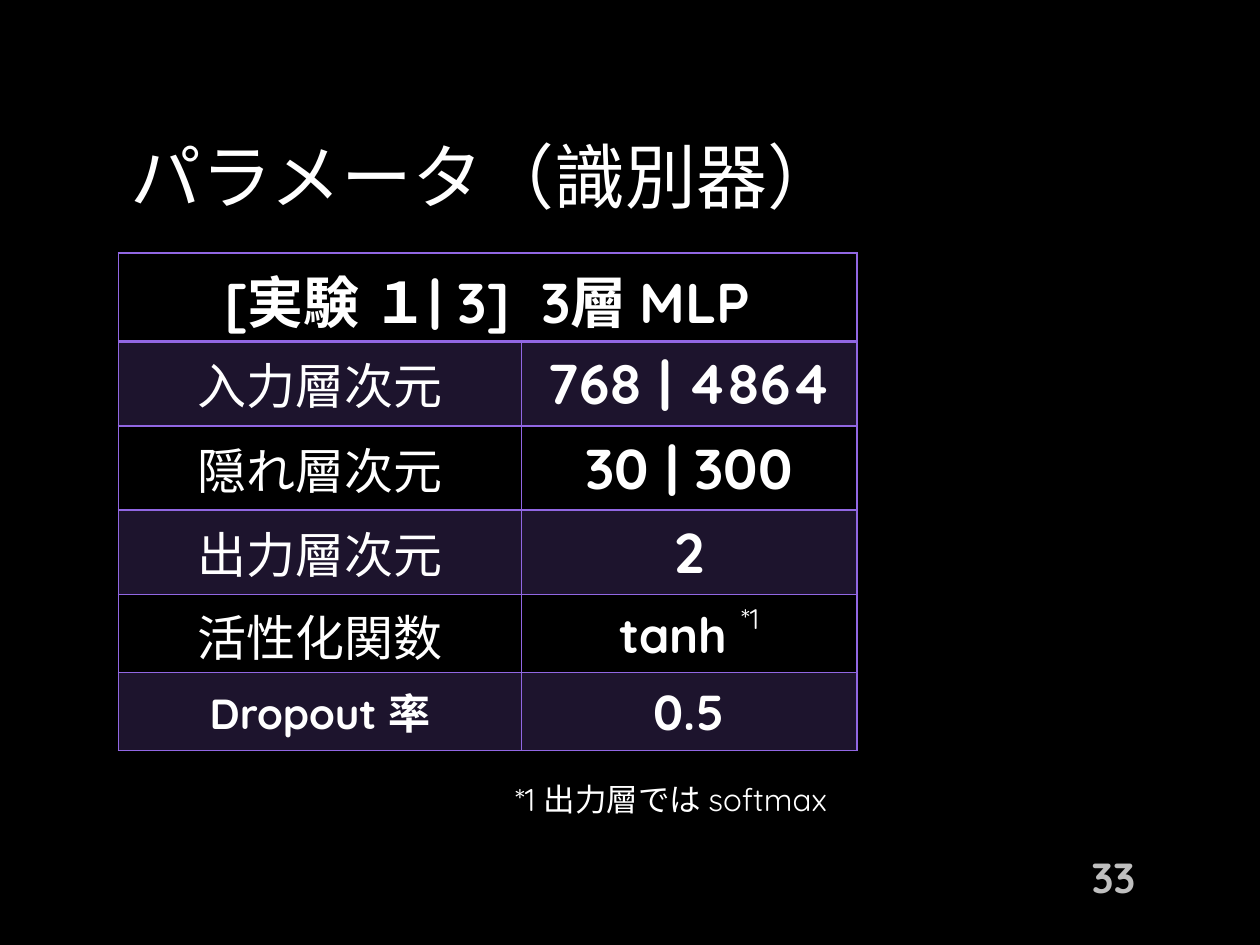
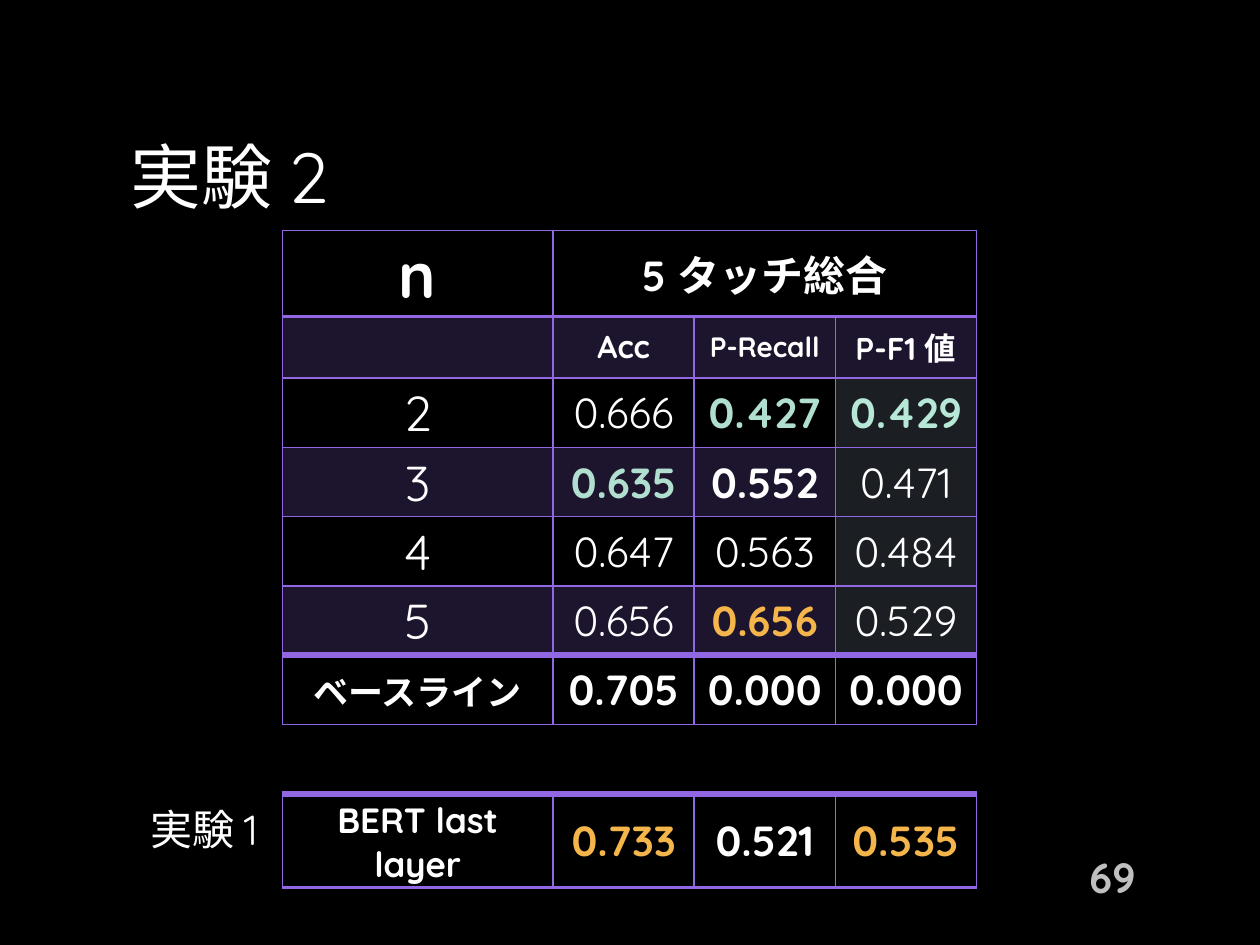
"""Build two dark slides with classifier parameters and experiment scores."""
from dataclasses import dataclass
from typing import Optional, Sequence

from lxml import etree
from pptx import Presentation
from pptx.dml.color import RGBColor
from pptx.enum import text as enums
from pptx.oxml import ns
from pptx.util import Inches, Pt

FONT = "Quicksand"
BLACK = RGBColor(0x00, 0x00, 0x00)
WHITE = RGBColor(0xFF, 0xFF, 0xFF)
GRAY = RGBColor(0xBF, 0xBF, 0xBF)
PURPLE = RGBColor(0x91, 0x67, 0xE3)
GREEN = RGBColor(0xB1, 0xDF, 0xCF)
LIGHT_GREEN = RGBColor(0xB7, 0xE7, 0xD6)
ORANGE = RGBColor(0xF4, 0xB5, 0x4B)
SLATE = RGBColor(0x1B, 0x1E, 0x23)
CENTER = enums.PP_ALIGN.CENTER
LEFT = enums.PP_ALIGN.LEFT
RIGHT = enums.PP_ALIGN.RIGHT
MIDDLE = enums.MSO_ANCHOR.MIDDLE
TOP = enums.MSO_ANCHOR.TOP
WIDE = (0.07, 0.04, 0.07, 0.04)
TIGHT = (0.01, 0.01, 0.01, 0)
SCORE_COLUMNS = (2.15, 1.12, 1.12, 1.12)


@dataclass
class Entry:
    """Text and look of one table cell."""
    text: str = ""
    size: float = 24
    bold: bool = True
    color: RGBColor = WHITE
    fill: Optional[RGBColor] = None
    insets: tuple = WIDE
    mark: str = ""
    span: int = 1


@dataclass
class Grid:
    """Place, sizes and contents of a table; rules are horizontal line widths."""
    left: float
    top: float
    columns: Sequence[float]
    heights: Sequence[float]
    rules: Sequence[float]
    rows: Sequence[Sequence[Entry]]
    banded: bool = True


def add_span(para, words: str, size: float, color: RGBColor, bold: bool = False):
    """Append a formatted run."""
    span = para.add_run()
    span.text = words
    span.font.name = FONT
    span.font.size = Pt(size)
    span.font.bold = bold
    span.font.color.rgb = color
    return span


def set_insets(target, insets: tuple) -> None:
    """Set the inner margins of a cell or text frame."""
    sides = ("margin_left", "margin_top", "margin_right", "margin_bottom")
    for side, value in zip(sides, insets):
        setattr(target, side, Inches(value))


def add_text(page, words: str, at: tuple, *, size: float, color: RGBColor = WHITE,
             bold: bool = False, align=LEFT, anchor=MIDDLE,
             insets: tuple = (0.1, 0.05, 0.1, 0.05)) -> None:
    """Add a single-paragraph text box."""
    frame = page.shapes.add_textbox(*map(Inches, at)).text_frame
    frame.word_wrap = True
    frame.vertical_anchor = anchor
    set_insets(frame, insets)
    para = frame.paragraphs[0]
    para.alignment = align
    add_span(para, words, size, color, bold)


def set_borders(cell, above: float, below: float) -> None:
    """Draw the four borders of a cell."""
    properties = cell._tc.get_or_add_tcPr()
    widths = {"lnL": 1, "lnR": 1, "lnT": above, "lnB": below}
    for index, (side, width) in enumerate(widths.items()):
        line = etree.Element(ns.qn(f"a:{side}"), w=str(Pt(width)))
        fill = etree.SubElement(line, ns.qn("a:solidFill"))
        etree.SubElement(fill, ns.qn("a:srgbClr"), val=str(PURPLE))
        properties.insert(index, line)


def paint(cell, color: Optional[RGBColor], banded: bool) -> None:
    """Fill a cell with a colour, a translucent band or nothing."""
    if color is None and not banded:
        cell.fill.background()
        return
    cell.fill.solid()
    cell.fill.fore_color.rgb = color or PURPLE
    if color is None:
        tone = cell._tc.tcPr.find(".//" + ns.qn("a:srgbClr"))
        etree.SubElement(tone, ns.qn("a:alpha"), val="20000")


def write_entry(cell, entry: Entry) -> None:
    """Write the text of a cell."""
    cell.vertical_anchor = MIDDLE
    set_insets(cell, entry.insets)
    para = cell.text_frame.paragraphs[0]
    para.alignment = CENTER
    if entry.text:
        add_span(para, entry.text, entry.size, entry.color, entry.bold)
    if entry.mark:
        mark = add_span(para, entry.mark, entry.size, entry.color)
        mark.font._element.set("baseline", "50000")


def add_grid(page, grid: Grid) -> None:
    """Add a table with purple rules and optional bands."""
    frame = page.shapes.add_table(
        len(grid.heights), len(grid.columns), Inches(grid.left), Inches(grid.top),
        Inches(sum(grid.columns)), Inches(sum(grid.heights)))
    table = frame.table
    table.first_row = table.horz_banding = False
    for column, width in zip(table.columns, grid.columns):
        column.width = Inches(width)
    for number, (row, height) in enumerate(zip(table.rows, grid.heights)):
        row.height = Inches(height)
        place = 0
        for entry in grid.rows[number]:
            cell = table.cell(number, place)
            write_entry(cell, entry)
            for column in range(place, place + entry.span):
                part = table.cell(number, column)
                paint(part, entry.fill, grid.banded and number % 2 == 1)
                set_borders(part, grid.rules[number], grid.rules[number + 1])
            if entry.span > 1:
                cell.merge(table.cell(number, place + entry.span - 1))
            place += entry.span


def add_page(deck, title: str, number: int):
    """Add a black slide with its title and page number."""
    page = deck.slides.add_slide(deck.slide_layouts[6])
    page.background.fill.solid()
    page.background.fill.fore_color.rgb = BLACK
    add_text(page, title, (0.94, 0.94, 8.12, 0.9), size=40.5)
    add_text(page, str(number), (7.81, 6.76, 1.3, 0.4), size=24, color=GRAY,
             bold=True, align=RIGHT)
    return page


def score(value: str, color: RGBColor = WHITE, bold: bool = False,
          fill: Optional[RGBColor] = None) -> Entry:
    """Describe a score cell with narrow margins."""
    return Entry(value, 24, bold, color, fill, TIGHT)


def score_row(n: int, accuracy: Entry, recall: Entry, f1: Entry) -> list[Entry]:
    """Describe the scores for one value of n."""
    f1.fill = SLATE
    return [Entry(str(n), 28, False), accuracy, recall, f1]


def add_parameters(deck) -> None:
    """Build the classifier parameter slide."""
    page = add_page(deck, "パラメータ（識別器）", 33)
    rows = [
        [Entry("[実験 １| 3]  3層 MLP", 32, span=2)],
        [Entry("入力層次元", 28, False), Entry("768 | 4864", 32)],
        [Entry("隠れ層次元", 28, False), Entry("30 | 300", 32)],
        [Entry("出力層次元", 28, False), Entry("2", 32)],
        [Entry("活性化関数", 28, False), Entry("tanh ", 28, mark="*1")],
        [Entry("Dropout 率", 24), Entry("0.5", 28)],
    ]
    add_grid(page, Grid(0.94, 2.01, (3.2, 2.66), (0.7, 0.67, 0.67, 0.67, 0.62, 0.62),
                        (1, 2, 1, 1, 1, 1, 1), rows))
    add_text(page, "*1 出力層では softmax", (3.99, 6.14, 2.8, 0.4), size=18, anchor=TOP)


def add_scores(deck) -> None:
    """Build the experiment score slide."""
    page = add_page(deck, "実験 2", 69)
    rows = [
        [Entry("n", 36), Entry("5 タッチ総合", span=3)],
        [Entry(), Entry("Acc", 18), Entry("P-Recall", 16), Entry("P-F1 値", 18)],
        score_row(2, score("0.666"), score("0.427", GREEN, True),
                  score("0.429", LIGHT_GREEN, True)),
        score_row(3, score("0.635", GREEN, True), score("0.552", bold=True),
                  score("0.471")),
        score_row(4, score("0.647"), score("0.563"), score("0.484")),
        score_row(5, score("0.656"), score("0.656", ORANGE, True), score("0.529")),
        [Entry("ベースライン", 20), Entry("0.705"), Entry("0.000"), Entry("0.000")],
    ]
    add_grid(page, Grid(2.24, 1.83, SCORE_COLUMNS, (0.48, 0.49) + (0.55,) * 5,
                        (1, 2, 1, 1, 1, 1, 4, 1), rows))
    last_layer = [Entry("BERT last layer", 20), Entry("0.733", color=ORANGE),
                  Entry("0.521"), Entry("0.535", color=ORANGE)]
    add_grid(page, Grid(2.24, 6.3, SCORE_COLUMNS, (0.55,), (4, 2), [last_layer], False))
    add_text(page, "実験 1", (0.99, 6.13, 1.26, 0.9), size=24, align=CENTER, insets=WIDE)


def main() -> None:
    """Build and save the deck."""
    deck = Presentation()
    deck.slide_width, deck.slide_height = Inches(10), Inches(7.5)
    add_parameters(deck)
    add_scores(deck)
    deck.save("out.pptx")


if __name__ == "__main__":
    main()
